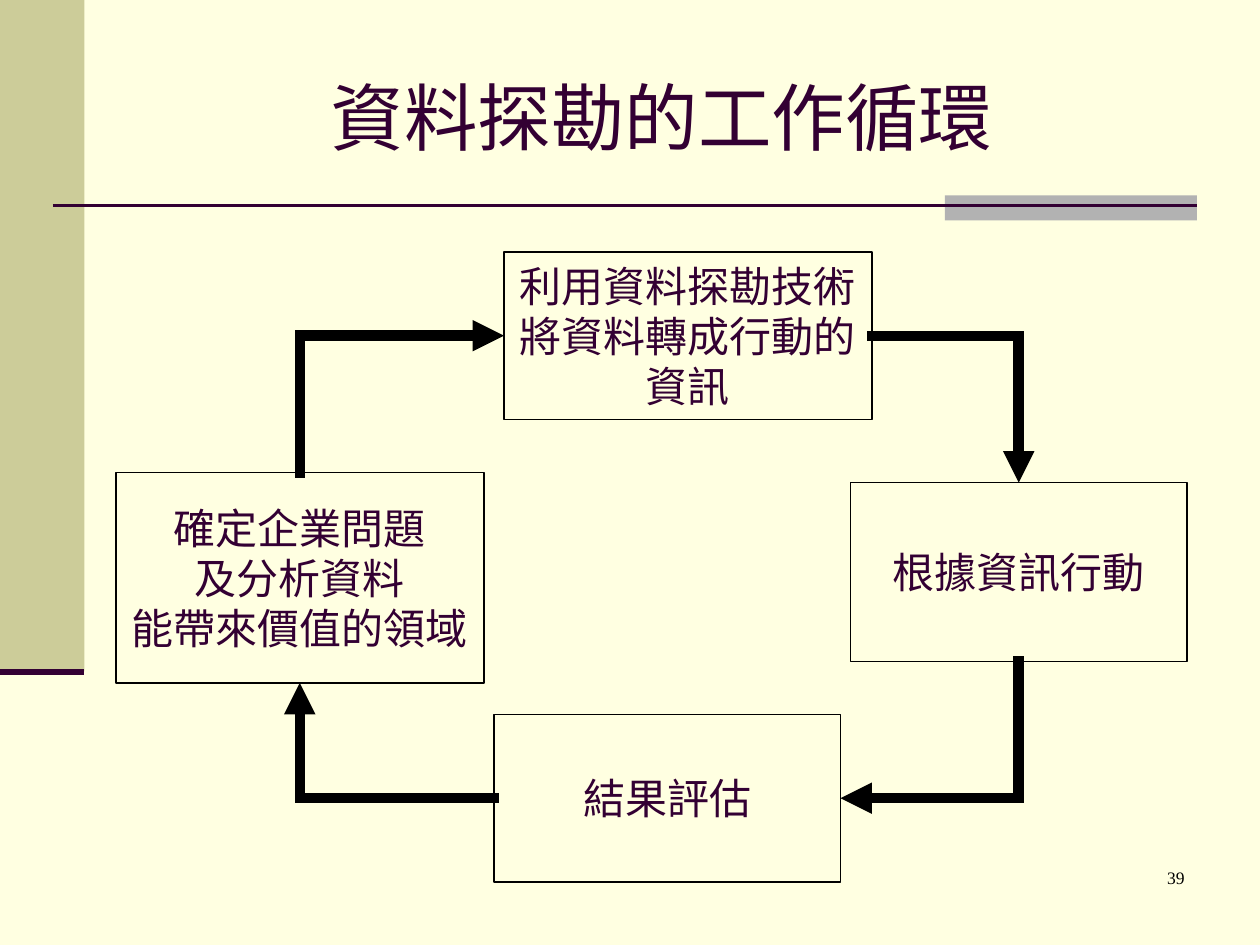
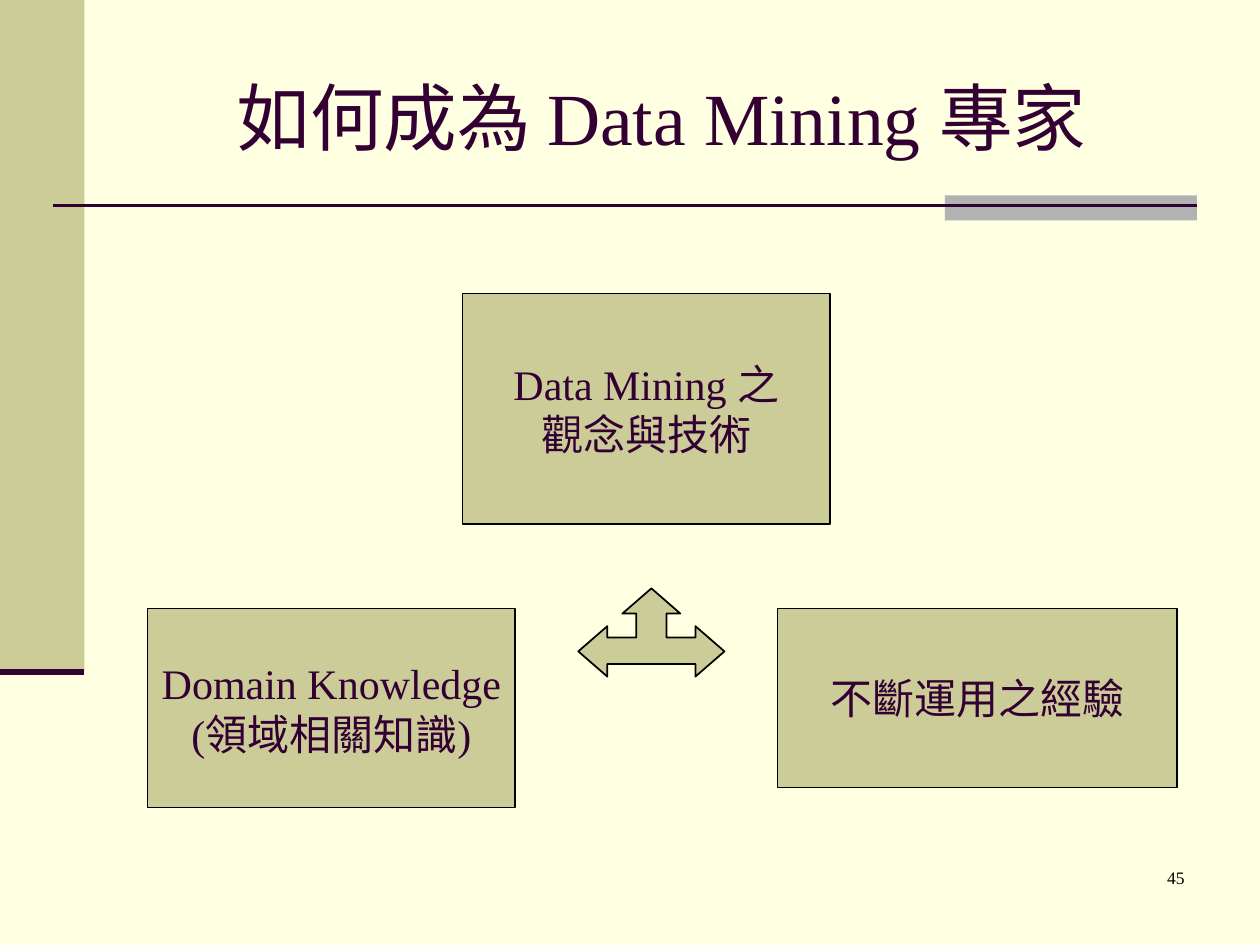
from dataclasses import dataclass
from lxml.etree import SubElement
from pptx import Presentation
from pptx.dml.color import RGBColor as RGB
from pptx.enum.shapes import MSO_CONNECTOR as LINK, MSO_SHAPE as SHAPE
from pptx.enum.text import MSO_ANCHOR as ANCHOR, PP_ALIGN as ALIGN
from pptx.oxml.ns import qn
from pptx.util import Inches, Pt


@dataclass(frozen=True)
class Theme:
    paper: RGB = RGB(0xFF, 0xFF, 0xE1)
    khaki: RGB = RGB(0xCC, 0xCC, 0x99)
    gray: RGB = RGB(0xB2, 0xB2, 0xB2)
    plum: RGB = RGB(0x33, 0x00, 0x33)
    black: RGB = RGB(0, 0, 0)
    font: str = "Times New Roman"
    title: int = 42
    body: int = 24
    number: int = 10
    outline: float = 1
    arrow: float = 6


T = Theme()

CYCLE = {
    "title": "資料探勘的工作循環",
    "number": "39",
    "fill": T.paper,
    "boxes": {
        "define": ((0.92, 3.75, 2.92, 1.67), "確定企業問題\n及分析資料\n能帶來價值的領域"),
        "mine": ((4, 2, 2.92, 1.33), "利用資料探勘技術\n將資料轉成行動的\n資訊"),
        "evaluate": ((3.92, 5.67, 2.75, 1.33), "結果評估"),
        "act": ((6.75, 3.83, 2.67, 1.42), "根據資訊行動"),
    },
}
EXPERT = {
    "title": "如何成為 Data Mining 專家",
    "number": "45",
    "fill": T.khaki,
    "boxes": {
        "concepts": ((3.67, 2.33, 2.92, 1.83), "Data Mining 之\n觀念與技術"),
        "domain": ((1.17, 4.83, 2.92, 1.58), "Domain Knowledge\n(領域相關知識)"),
        "experience": ((6.17, 4.83, 3.17, 1.42), "不斷運用之經驗"),
    },
}
TOP, LEFT, BOTTOM, RIGHT = range(4)
ARROWS = [
    ("define", TOP, "mine", LEFT),
    ("mine", RIGHT, "act", TOP),
    ("act", BOTTOM, "evaluate", RIGHT),
    ("evaluate", LEFT, "define", BOTTOM),
]
ARROW_CENTER = 5.17
ARROW_HALF = [(0, 4.67), (0.23, 4.87), (0.12, 4.87), (0.12, 5.06), (0.35, 5.06),
              (0.35, 4.97), (0.58, 5.17), (0.35, 5.37), (0.35, 5.27)]


def paint(s, fill, outline=None):
    s.shadow.inherit = False
    s.fill.solid()
    s.fill.fore_color.rgb = fill
    if outline is None:
        s.line.fill.background()
    else:
        s.line.color.rgb = outline
        s.line.width = Pt(T.outline)


def add_rect(slide, at, fill, outline=None):
    s = slide.shapes.add_shape(SHAPE.RECTANGLE, *map(Inches, at))
    paint(s, fill, outline)
    return s


def write(s, text, size, color, align=ALIGN.CENTER, anchor=ANCHOR.MIDDLE, wrap=True):
    tf = s.text_frame
    tf.text = text
    tf.word_wrap = wrap
    tf.vertical_anchor = anchor
    for p in tf.paragraphs:
        p.alignment = align
        for r in p.runs:
            r.font.name = T.font
            r.font.size = Pt(size)
            r.font.color.rgb = color


def style_line(c, color, width):
    c.line.color.rgb = color
    c.line.width = Pt(width)
    SubElement(c._element.spPr, qn("a:effectLst"))


def add_rule(slide, x1, y1, x2, y2, width):
    c = slide.shapes.add_connector(LINK.STRAIGHT, *map(Inches, (x1, y1, x2, y2)))
    style_line(c, T.plum, width)


def add_arrow(slide, start, start_site, end, end_site):
    c = slide.shapes.add_connector(LINK.ELBOW, 0, 0, 0, 0)
    c.begin_connect(start, start_site)
    c.end_connect(end, end_site)
    pr = c._element.spPr
    pr.find(qn("a:prstGeom")).set("prst", "bentConnector2")
    if start_site in (TOP, BOTTOM):
        dx, dy = c.end_x - c.begin_x, c.end_y - c.begin_y
        mid_x, mid_y = c.begin_x + dx // 2, c.begin_y + dy // 2
        c.begin_x, c.begin_y = mid_x - dy // 2, mid_y + dx // 2
        c.end_x, c.end_y = mid_x + dy // 2, mid_y - dx // 2
        pr.find(qn("a:xfrm")).set("rot", "5400000")
    style_line(c, T.black, T.arrow)
    ln = pr.find(qn("a:ln"))
    ln.set("cap", "sq")
    SubElement(ln, qn("a:miter"), lim="800000")
    SubElement(ln, qn("a:tailEnd"), type="triangle")


def add_three_way_arrow(slide):
    right = [(ARROW_CENTER + x, y) for x, y in ARROW_HALF]
    left = [(ARROW_CENTER - x, y) for x, y in ARROW_HALF[:0:-1]]
    points = [(Inches(x), Inches(y)) for x, y in right + left]
    fb = slide.shapes.build_freeform(*points[0])
    fb.add_line_segments(points[1:], close=True)
    paint(fb.convert_to_shape(), T.khaki, T.black)


def add_text(slide, at, *args, **kwargs):
    write(slide.shapes.add_textbox(*map(Inches, at)), *args, **kwargs)


def add_slide(prs, content):
    slide = prs.slides.add_slide(prs.slide_layouts[6])
    slide.background.fill.solid()
    slide.background.fill.fore_color.rgb = T.paper
    add_rect(slide, (0, 0, 0.67, 5.33), T.khaki)
    add_rect(slide, (7.5, 1.55, 2, 0.2), T.gray)
    add_rule(slide, 0.42, 1.63, 9.5, 1.63, 1.5)
    add_rule(slide, 0, 5.33, 0.67, 5.33, 3.5)
    add_text(slide, (1, 0.3, 8.5, 1.25), content["title"], T.title, T.plum)
    boxes = {}
    for name, (at, text) in content["boxes"].items():
        boxes[name] = add_rect(slide, at, content["fill"], T.black)
        write(boxes[name], text, T.body, T.plum, wrap=False)
    add_text(slide, (7.42, 6.83, 2.08, 0.5), content["number"], T.number, T.black,
             ALIGN.RIGHT, ANCHOR.TOP)
    return slide, boxes


prs = Presentation()
prs.slide_width, prs.slide_height = Inches(10), Inches(7.5)

slide, boxes = add_slide(prs, CYCLE)
for start, start_site, end, end_site in ARROWS:
    add_arrow(slide, boxes[start], start_site, boxes[end], end_site)

slide, boxes = add_slide(prs, EXPERT)
add_three_way_arrow(slide)

prs.save("out.pptx")
